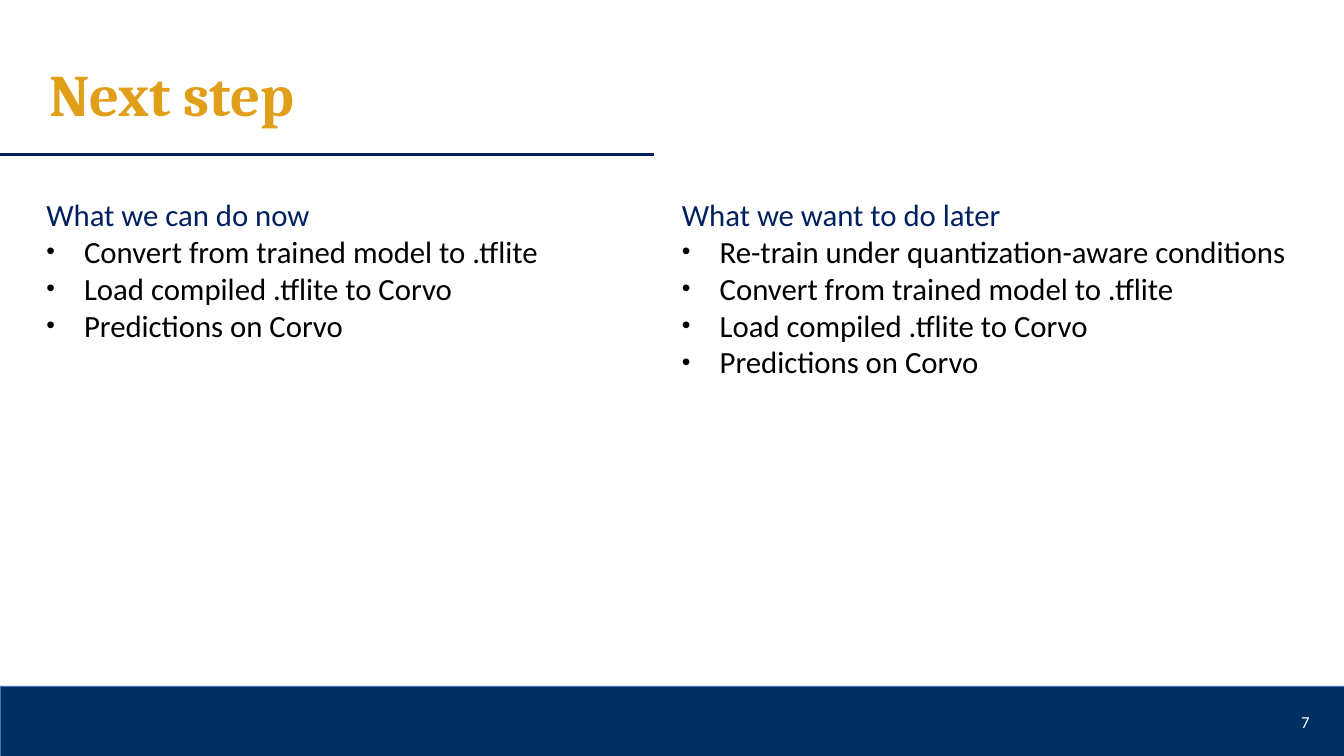
"""Build the "Next step" slide: two bullet columns above a navy footer bar."""
import pptx
import pptx.dml.color
import pptx.enum.shapes
import pptx.enum.text
import pptx.oxml
import pptx.oxml.ns
import pptx.util

Pt = pptx.util.Pt
Align = pptx.enum.text.PP_ALIGN
Anchor = pptx.enum.text.MSO_ANCHOR
HUES = {"navy": "002060", "bar": "003061", "edge": "4472C4",
        "gold": "E09E19", "black": "000000", "white": "FFFFFF"}


def hue(name):
    """Return the colour of that name."""
    return pptx.dml.color.RGBColor.from_string(HUES[name])


def style(item, ink, **values):
    """Set font values and colour on a paragraph."""
    for key, value in values.items():
        setattr(item.font, key, value)
    item.font.color.rgb = hue(ink)


deck = pptx.Presentation()
deck.slide_width, deck.slide_height = Pt(960), Pt(540)
slide = deck.slides.add_slide(deck.slide_layouts[5])
shapes = slide.shapes

rule = shapes.add_connector(
    pptx.enum.shapes.MSO_CONNECTOR.STRAIGHT, Pt(0), Pt(110.5), Pt(467.5), Pt(110.5))
rule.line.color.rgb = hue("navy")
rule.line.width = Pt(2.25)
rule._element.spPr.append(pptx.oxml.parse_xml(
    f'<a:effectLst {pptx.oxml.ns.nsdecls("a")}/>'))

bar = shapes.add_shape(
    pptx.enum.shapes.MSO_SHAPE.RECTANGLE, Pt(0), Pt(490), Pt(960), Pt(50))
bar.shadow.inherit = False
bar.fill.solid()
bar.fill.fore_color.rgb = hue("bar")
bar.line.color.rgb = hue("edge")
bar.line.width = Pt(0.5)

title = shapes.title
place = {"left": 17, "top": 39, "width": 471, "height": 74}
for key, value in place.items():
    setattr(title, key, Pt(value))
frame = title.text_frame
frame.text = "Next step"
layout = {"margin_left": Pt(18), "margin_top": Pt(2), "word_wrap": True,
          "vertical_anchor": Anchor.TOP,
          "auto_size": pptx.enum.text.MSO_AUTO_SIZE.NONE}
for key, value in layout.items():
    setattr(frame, key, value)
head = frame.paragraphs[0]
head.alignment = Align.LEFT
style(head, "gold", name="Cambria", size=Pt(42), bold=True)

steps = ["Convert from trained model to .tflite",
         "Load compiled .tflite to Corvo", "Predictions on Corvo"]
lists = [
    (26, "What we can do now", steps),
    (480, "What we want to do later",
     ["Re-train under quantization-aware conditions"] + steps),
]
for left, label, points in lists:
    box = shapes.add_textbox(Pt(left), Pt(136), Pt(462), Pt(176))
    frame = box.text_frame
    frame.word_wrap = True
    para = frame.paragraphs[0]
    para.text = label
    style(para, "navy", name="Calibri", size=Pt(22))
    for point in points:
        para = frame.add_paragraph()
        para.text = point
        props = para._p.get_or_add_pPr()
        props.set("marL", str(Pt(27)))
        props.set("indent", str(Pt(-27)))
        for tag in ('buSzPct val="80000"', 'buFont typeface="Arial"', 'buChar char="•"'):
            props.append(pptx.oxml.parse_xml(
                f'<a:{tag} {pptx.oxml.ns.nsdecls("a")}/>'))
        style(para, "black", name="Calibri", size=Pt(22))

page = shapes.add_textbox(Pt(726.5), Pt(501), Pt(216), Pt(29))
frame = page.text_frame
frame.word_wrap = True
frame.vertical_anchor = Anchor.MIDDLE
para = frame.paragraphs[0]
para.text = "7"
para.alignment = Align.RIGHT
style(para, "white", name="Calibri", size=Pt(12))

deck.save("out.pptx")
